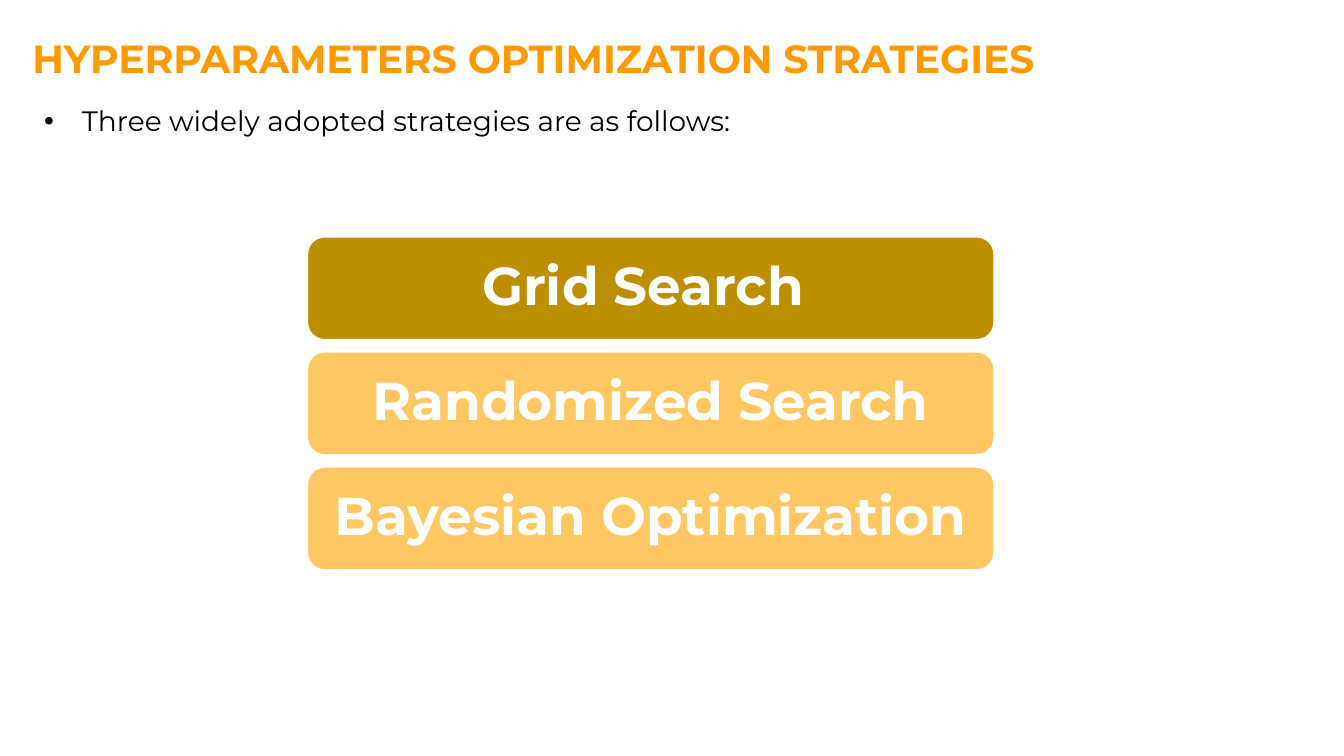
from pptx import Presentation
from pptx.dml.color import RGBColor
from pptx.enum.shapes import MSO_SHAPE
from pptx.enum.text import MSO_ANCHOR, MSO_AUTO_SIZE, PP_ALIGN
from pptx.util import Cm, Pt

ORANGE = RGBColor(0xFF, 0x99, 0x00)
GOLD = RGBColor(0xBD, 0x8E, 0x00)
APRICOT = RGBColor(0xFF, 0xC7, 0x62)
WHITE = RGBColor(0xFF, 0xFF, 0xFF)
BLACK = RGBColor(0, 0, 0)

STRATEGIES = [
    ("Grid Search ", GOLD),
    ("Randomized Search", APRICOT),
    ("Bayesian Optimization", APRICOT),
]


def apply(target, formats):
    for attribute, value in formats.items():
        setattr(target, attribute, value)


class StrategySlide:
    family = "Montserrat"

    def __init__(self, deck):
        self.slide = deck.slides.add_slide(deck.slide_layouts[1])

    def set_wording(self, holder, wording, size, color, bold, frame, paragraph):
        text = holder.text_frame
        text.text = wording
        apply(text, {"word_wrap": True, "auto_size": MSO_AUTO_SIZE.NONE, **frame})
        line = text.paragraphs[0]
        apply(line, {"space_before": Pt(0), **paragraph})
        font = line.runs[0].font
        apply(font, {"name": self.family, "size": Pt(size), "bold": bold})
        font.color.rgb = color
        return line

    def place(self, holder, left, top, width, height):
        apply(holder, {"left": Cm(left), "top": Cm(top),
                       "width": Cm(width), "height": Cm(height)})

    def title(self, wording):
        heading = self.slide.shapes.title
        self.place(heading, 0.56, 0.74, 28.47, 1.45)
        self.set_wording(heading, wording, 28, ORANGE, True,
                         {"vertical_anchor": MSO_ANCHOR.TOP}, {"alignment": PP_ALIGN.LEFT})

    def bullet(self, wording):
        intro = self.slide.placeholders[1]
        self.place(intro, 0.86, 2.49, 32.5, 1.12)
        line = self.set_wording(intro, wording, 20, BLACK, False,
                                {"vertical_anchor": MSO_ANCHOR.TOP},
                                {"alignment": PP_ALIGN.LEFT})
        properties = line._p.get_or_add_pPr()
        properties.set("marL", str(Cm(0.95)))
        properties.set("indent", str(Cm(-0.95)))

    def card(self, wording, color, left, top, width, height):
        card = self.slide.shapes.add_shape(
            MSO_SHAPE.ROUNDED_RECTANGLE, Cm(left), Cm(top), Cm(width), Cm(height))
        card.shadow.inherit = False
        card.fill.solid()
        card.fill.fore_color.rgb = color
        card.line.color.rgb = WHITE
        card.line.width = Pt(1)
        margins = {f"margin_{side}": Cm(0.41) for side in ("left", "top", "right", "bottom")}
        self.set_wording(card, wording, 38, WHITE, True,
                         {"vertical_anchor": MSO_ANCHOR.MIDDLE, **margins},
                         {"alignment": PP_ALIGN.CENTER, "line_spacing": 0.9})


def main():
    deck = Presentation()
    apply(deck, {"slide_width": Cm(33.87), "slide_height": Cm(19.05)})
    page = StrategySlide(deck)
    page.title("HYPERPARAMETERS OPTIMIZATION STRATEGIES")
    page.bullet("Three widely adopted strategies are as follows:")
    for rank, (strategy, color) in enumerate(STRATEGIES):
        page.card(strategy, color, 7.75, 5.97 + rank * 2.9, 17.3, 2.59)
    deck.save("out.pptx")


if __name__ == "__main__":
    main()
